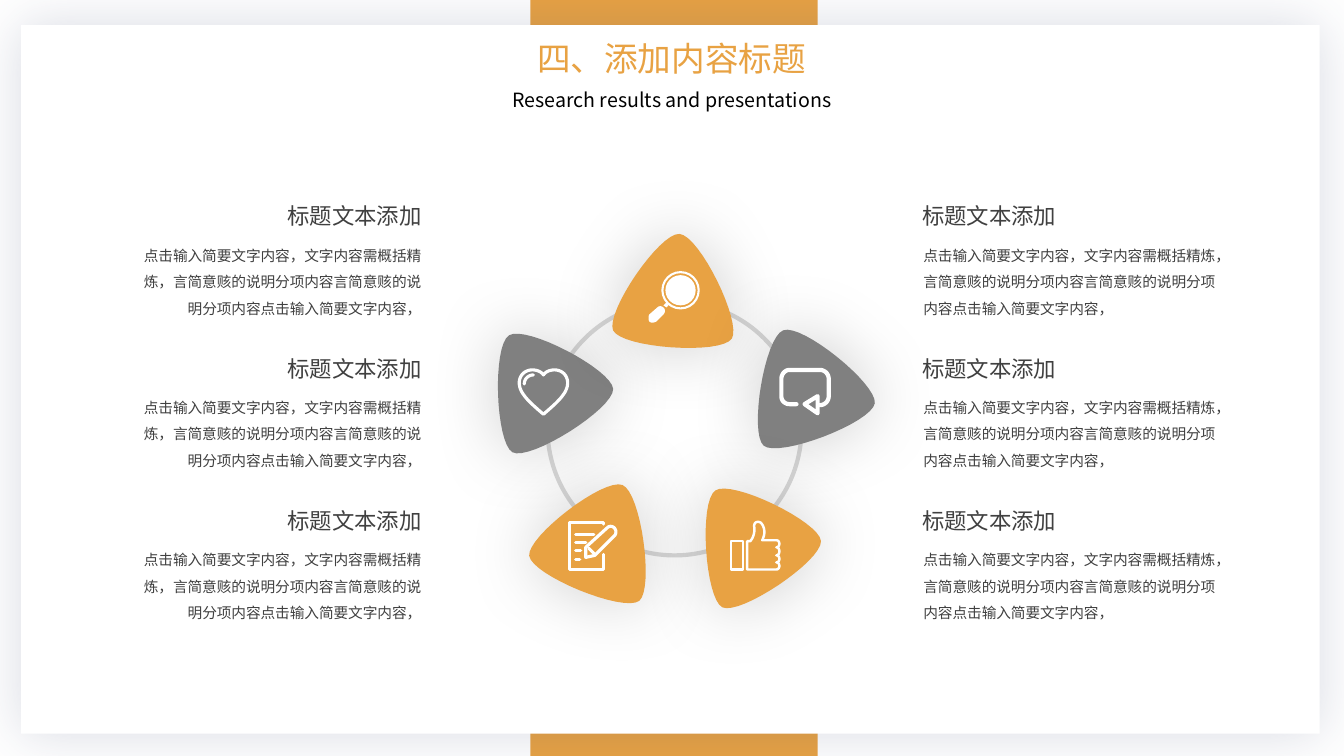
from lxml import etree
from pptx import Presentation
from pptx.dml.color import RGBColor
from pptx.enum.shapes import MSO_SHAPE
from pptx.enum.text import MSO_AUTO_SIZE, PP_ALIGN
from pptx.oxml.ns import qn
from pptx.util import Inches, Pt

RECTANGLE, OVAL = MSO_SHAPE.RECTANGLE, MSO_SHAPE.OVAL
LEFT, CENTER, RIGHT = PP_ALIGN.LEFT, PP_ALIGN.CENTER, PP_ALIGN.RIGHT
FIT_SHAPE = MSO_AUTO_SIZE.SHAPE_TO_FIT_TEXT
FONT = "Noto Sans CJK SC"
COLORS = {
    "orange": "E8A243", "gray": "808080", "ring": "D9D9D9", "white": "FFFFFF",
    "black": "000000", "text": "404040", "card_shadow": "434E77",
}
RGB = {name: RGBColor.from_string(value) for name, value in COLORS.items()}

prs = Presentation()
prs.slide_width, prs.slide_height = Inches(13.33), Inches(7.5)
slide = prs.slides.add_slide(prs.slide_layouts[6])


def add_text(text, left, top, width, height, size, color="text", align=LEFT, spacing=None):
    box = slide.shapes.add_textbox(Inches(left), Inches(top), Inches(width), Inches(height))
    frame = box.text_frame
    frame.word_wrap = True
    frame.auto_size = FIT_SHAPE
    paragraph = frame.paragraphs[0]
    paragraph.alignment = align
    paragraph.line_spacing = spacing
    run = paragraph.add_run()
    run.text = text
    run.font.name = FONT
    run.font.size = Pt(size)
    run.font.color.rgb = RGB[color]
    latin = run.font._element.find(qn("a:latin"))
    latin.addnext(latin.makeelement(qn("a:ea"), {"typeface": FONT}))


def add_outline(contours, fill=None, line_width=None):
    builder = None
    for contour in contours:
        points = [contour[0]]
        for step in contour[1:]:
            if len(step) == 2:
                points.append(step)
                continue
            controls = [points[-1], step[:2], step[2:4], step[4:]]
            for i in range(1, 17):
                t = i / 16
                weights = [(1 - t) ** 3, 3 * t * (1 - t) ** 2, 3 * t * t * (1 - t), t ** 3]
                points.append(tuple(
                    sum(w * c[axis] for w, c in zip(weights, controls)) for axis in (0, 1)))
        corners = [(Inches(x), Inches(y)) for x, y in points]
        if builder:
            builder.move_to(*corners[0])
        else:
            builder = slide.shapes.build_freeform(*corners[0])
        builder.add_line_segments(corners[1:], close=points[0] == points[-1])
    shape = builder.convert_to_shape()
    shape.shadow.inherit = False
    if fill:
        shape.fill.solid()
        shape.fill.fore_color.rgb = RGB[fill]
    else:
        shape.fill.background()
    if line_width:
        shape.line.color.rgb = RGB["white"]
        shape.line.width = Pt(line_width)
        line = shape._element.spPr.find(qn("a:ln"))
        line.set("cap", "rnd")
        etree.SubElement(line, qn("a:round"))
    else:
        shape.line.fill.background()
    return shape


shadows = []
for left, top, width, height, color in [
    (5.26, 0, 2.85, 7.5, "orange"),
    (0.21, 0.25, 12.88, 7.03, "white"),
]:
    panel = slide.shapes.add_shape(
        RECTANGLE, Inches(left), Inches(top), Inches(width), Inches(height))
    panel.shadow.inherit = False
    panel.fill.solid()
    panel.fill.fore_color.rgb = RGB[color]
    panel.line.fill.background()
shadows.append((panel, "card_shadow", 20, 40))

add_text("四、添加内容标题", 3.95, 0.33, 5.42, 0.5, 24, "orange", CENTER)
add_text("Research results and presentations", 3.2, 0.82, 6.93, 0.34, 14, "black", CENTER)

for center_x, center_y, radius, fill, line, line_width in [
    (6.69, 4.25, 1.26, None, "ring", 3),
]:
    ring = slide.shapes.add_shape(
        OVAL, Inches(center_x - radius), Inches(center_y - radius),
        Inches(2 * radius), Inches(2 * radius))
    ring.shadow.inherit = False
    ring.fill.background()
    ring.line.color.rgb = RGB[line]
    ring.line.width = Pt(line_width)

PETAL = [
    (-0.59, 0.44), (-0.68, 0.27, -0.2, -0.56, 0, -0.56),
    (0.2, -0.56, 0.68, 0.27, 0.59, 0.44), (0.49, 0.61, -0.49, 0.61, -0.59, 0.44),
]
for center_x, center_y, angle, color in [
    (5.35, 3.8, 327.8, "gray"), (6.7, 2.88, 4, "orange"), (7.97, 3.8, 339.1, "gray"),
    (7.41, 5.33, 326.1, "orange"), (5.96, 5.33, 22.3, "orange"),
]:
    placed = [tuple(value + (center_x, center_y)[i % 2] for i, value in enumerate(step))
              for step in PETAL]
    petal = add_outline([placed], fill=color)
    petal.rotation = angle
    shadows.append((petal, "black", 18, 51))

for shape, color, alpha, blur in shadows:
    effects = shape._element.spPr.find(qn("a:effectLst"))
    shadow = etree.SubElement(effects, qn("a:outerShdw"), blurRad=str(Pt(blur)), dist="0",
                              dir="0", algn="ctr", rotWithShape="0")
    tint = etree.SubElement(shadow, qn("a:srgbClr"), val=COLORS[color])
    etree.SubElement(tint, qn("a:alpha"), val=str(alpha * 1000))

for radius, filled in [(0.15, True), (0.18, False)]:
    lens = slide.shapes.add_shape(
        OVAL, Inches(6.75 - radius), Inches(2.88 - radius), Inches(2 * radius), Inches(2 * radius))
    lens.shadow.inherit = False
    if filled:
        lens.fill.solid()
        lens.fill.fore_color.rgb = RGB["white"]
        lens.line.fill.background()
    else:
        lens.fill.background()
        lens.line.color.rgb = RGB["white"]
        lens.line.width = Pt(1.5)

magnifier_handle = [
    [(6.52, 3.05), (6.54, 3.03, 6.57, 3.04, 6.58, 3.05), (6.6, 3.07, 6.6, 3.1, 6.58, 3.12),
     (6.51, 3.19), (6.49, 3.2, 6.46, 3.21, 6.44, 3.19), (6.43, 3.17, 6.43, 3.14, 6.44, 3.12),
     (6.52, 3.05)],
    [(6.61, 3), (6.63, 3.03), (6.61, 3.05), (6.58, 3.03), (6.61, 3)],
]
reply = [
    [(7.9, 4.01), (7.83, 4.01), (7.79, 4.01, 7.75, 3.98, 7.75, 3.93), (7.75, 3.76),
     (7.75, 3.71, 7.79, 3.67, 7.83, 3.67), (8.13, 3.67), (8.18, 3.67, 8.22, 3.71, 8.22, 3.76),
     (8.22, 3.93), (8.22, 3.98, 8.18, 4.02, 8.13, 4.02)],
    [(8.11, 3.93), (7.98, 4.01), (8.11, 4.1), (8.11, 3.93)],
]
thumb = [
    [(7.25, 5.37), (7.37, 5.37), (7.37, 5.65), (7.25, 5.65), (7.25, 5.37)],
    [(7.41, 5.37), (7.44, 5.37), (7.47, 5.34, 7.49, 5.28, 7.48, 5.22),
     (7.48, 5.17, 7.53, 5.17, 7.55, 5.19), (7.59, 5.24, 7.59, 5.3, 7.56, 5.36), (7.7, 5.36),
     (7.74, 5.36, 7.74, 5.43, 7.7, 5.43), (7.74, 5.43, 7.74, 5.51, 7.7, 5.51),
     (7.74, 5.51, 7.74, 5.58, 7.7, 5.58), (7.74, 5.58, 7.74, 5.65, 7.7, 5.65),
     (7.41, 5.65), (7.41, 5.37)],
]
note = [
    [(5.99, 5.2), (5.99, 5.18), (5.65, 5.18), (5.65, 5.65), (5.99, 5.65), (5.99, 5.5)],
    [(5.81, 5.43), (6.03, 5.23), (6.08, 5.2, 6.13, 5.26, 6.1, 5.31), (5.9, 5.51),
     (5.81, 5.53), (5.81, 5.43)],
    [(5.84, 5.44), (5.9, 5.5)],
] + [[(5.71, y), (right, y)] for y, right in [(5.3, 5.89), (5.38, 5.81), (5.46, 5.76), (5.55, 5.75)]]
heart = [
    [(5.39, 4.11), (5.25, 3.99, 5.15, 3.9, 5.15, 3.8), (5.15, 3.72, 5.21, 3.67, 5.28, 3.67),
     (5.33, 3.67, 5.37, 3.69, 5.39, 3.72), (5.41, 3.69, 5.45, 3.67, 5.5, 3.67),
     (5.57, 3.67, 5.63, 3.72, 5.63, 3.8), (5.63, 3.9, 5.53, 3.99, 5.39, 4.11)],
    [(5.2, 3.81), (5.2, 3.76, 5.24, 3.72, 5.29, 3.72)],
]
add_outline(magnifier_handle, fill="white")
for icon, line_width in [(reply, 3), (thumb, 1.75), (note, 2.25), (heart, 2.25)]:
    add_outline(icon, line_width=line_width)

HEADING = "标题文本添加"
BODY = ("点击输入简要文字内容，文字内容需概括精炼，言简意赅的说明分项内容"
        "言简意赅的说明分项内容点击输入简要文字内容，")
for row in range(3):
    top = 1.96 + 1.51 * row
    for heading_left, body_left, body_width, align in [
        (9.05, 9.06, 3.11, LEFT), (1.52, 1.25, 3.03, RIGHT),
    ]:
        add_text(BODY, body_left, top + 0.35, body_width, 0.9, 10.5, align=align, spacing=1.5)
        add_text(HEADING, heading_left, top, 2.76, 0.37, 16, align=align)

prs.save("out.pptx")
